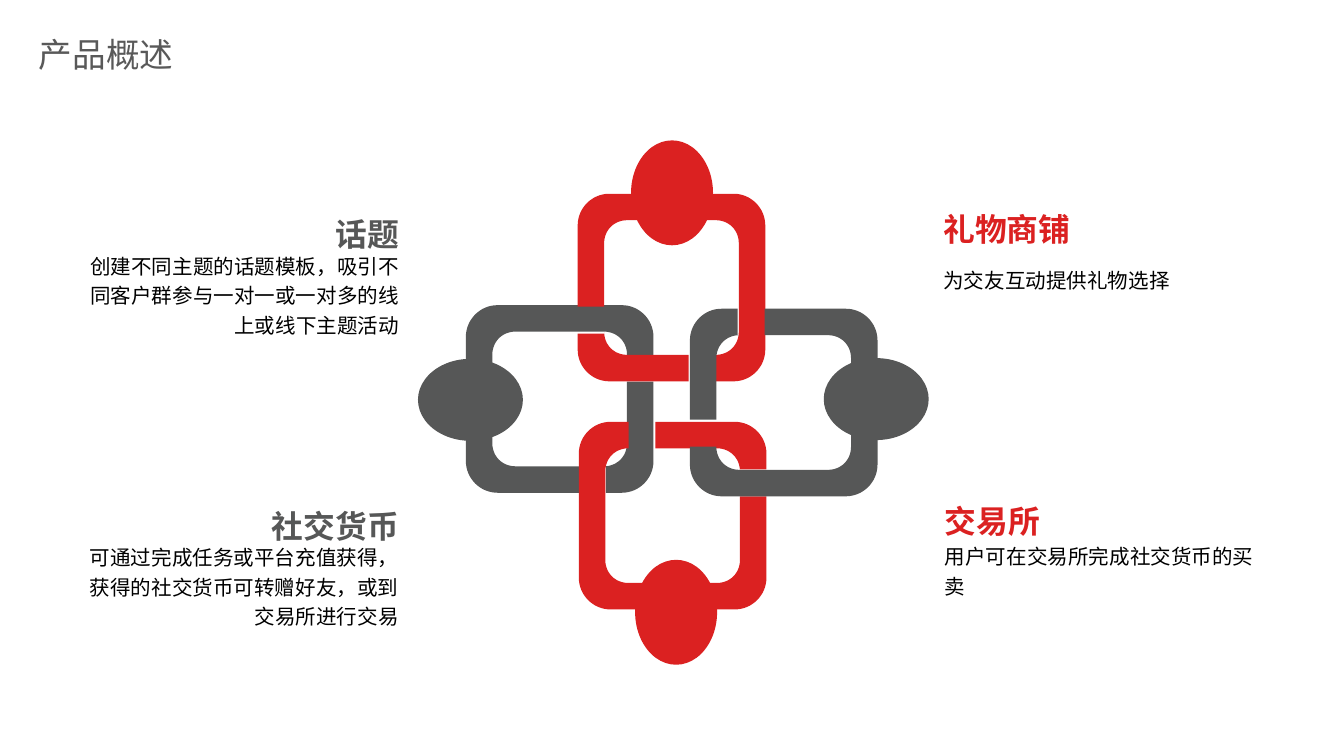
from dataclasses import dataclass
from math import cos, radians, sin

from pptx import Presentation
from pptx.dml.color import RGBColor
from pptx.enum import lang, shapes, text
from pptx.util import Pt


@dataclass(frozen=True)
class Theme:
    red: RGBColor = RGBColor(0xDB, 0x21, 0x21)
    gray: RGBColor = RGBColor(0x56, 0x57, 0x57)
    title: RGBColor = RGBColor(0x59, 0x59, 0x59)
    body: RGBColor = RGBColor(0, 0, 0)
    font: str = "Calibri"
    title_font: str = "Noto Sans CJK SC"
    title_size: int = 18
    heading_size: int = 17
    body_size: int = 11


theme = Theme()
LEFT, RIGHT = text.PP_ALIGN.LEFT, text.PP_ALIGN.RIGHT
TOP, MIDDLE = text.MSO_ANCHOR.TOP, text.MSO_ANCHOR.MIDDLE

deck = Presentation()
deck.slide_width, deck.slide_height = Pt(720), Pt(405)
page = deck.slides.add_slide(deck.slide_layouts[6])


def arc(center_x, center_y, radius, start, end):
    """Points along a circle, angles in degrees, clockwise on the page."""
    steps = 16
    angles = [radians(start + (end - start) * i / steps) for i in range(steps + 1)]
    return [(center_x + radius * cos(a), center_y + radius * sin(a)) for a in angles]


def add_text(left, top, width, height, words, size, color, align=LEFT,
             anchor=MIDDLE, font=theme.font, wrap=True, bold=False, spacing=1.0):
    box = page.shapes.add_textbox(Pt(left), Pt(top), Pt(width), Pt(height))
    frame = box.text_frame
    frame.margin_left = frame.margin_right = frame.margin_top = frame.margin_bottom = 0
    frame.word_wrap = wrap
    frame.vertical_anchor = anchor
    para = frame.paragraphs[0]
    para.alignment = align
    para.line_spacing = spacing
    span = para.add_run()
    span.text = words
    span.font.name = font
    span.font.size = Pt(size)
    span.font.bold = bold
    span.font.color.rgb = color
    span.font.language_id = lang.MSO_LANGUAGE_ID.SIMPLIFIED_CHINESE


# One chain link: a square ring cut on its right and bottom sides
side, band = 100.5, 14.2
outer, inner = 17, 12
near, far = outer, side - outer
inner_near, inner_far = band + inner, side - band - inner
right_cut = (26.6, 41)
bottom_cut = (60.5, 75)

corner_piece = [
    (side, right_cut[1]),
    *arc(far, far, outer, 0, 90),
    (bottom_cut[1], side), (bottom_cut[1], side - band),
    *arc(inner_far, inner_far, inner, 90, 0),
    (side - band, right_cut[1]),
]
main_piece = [
    (side, right_cut[0]),
    *arc(far, near, outer, 0, -90),
    *arc(near, near, outer, -90, -180),
    *arc(near, far, outer, -180, -270),
    (bottom_cut[0], side), (bottom_cut[0], side - band),
    *arc(inner_near, inner_far, inner, -270, -180),
    *arc(inner_near, inner_near, inner, -180, -90),
    *arc(inner_far, inner_near, inner, -90, 0),
    (side - band, right_cut[0]),
]

# Link left and top, quarter turns, colour, knob centre
links = [
    (249.6, 163.5, 0, theme.gray, (252, 214.2)),
    (309.5, 103.8, 1, theme.red, (360, 103.3)),
    (310.1, 226, 3, theme.red, (362.2, 328)),
    (369.6, 165.4, 2, theme.gray, (469.4, 213.8)),
]
for left, top, turns, color, (knob_x, knob_y) in links:
    contours = [corner_piece, main_piece]
    for _ in range(turns):
        contours = [[(side - y, x) for x, y in piece] for piece in contours]
    corner, main = [[(Pt(x), Pt(y)) for x, y in piece] for piece in contours]
    builder = page.shapes.build_freeform(*corner[0])
    builder.add_line_segments(corner[1:], close=True)
    builder.move_to(*main[0])
    builder.add_line_segments(main[1:], close=True)
    link = builder.convert_to_shape(Pt(left), Pt(top))

    width, height = (56.2, 43.9) if turns % 2 == 0 else (43.9, 56.2)
    knob = page.shapes.add_shape(
        shapes.MSO_SHAPE.OVAL, Pt(knob_x - width / 2), Pt(knob_y - height / 2),
        Pt(width), Pt(height))
    for shape in (link, knob):
        shape.shadow.inherit = False
        shape.fill.solid()
        shape.fill.fore_color.rgb = color
        shape.line.fill.background()

# Body left and top, heading left and top, colour, alignment, anchor, wording
topics = [
    (42.3, 133.2, 123.1, 115.2, theme.gray, RIGHT, TOP, "话题",
     "创建不同主题的话题模板，吸引不同客户群参与一对一或一对多的线上或线下主题活动"),
    (42.1, 289.4, 123.1, 271.4, theme.gray, RIGHT, TOP, "社交货币",
     "可通过完成任务或平台充值获得，获得的社交货币可转赠好友，或到交易所进行交易"),
    (505.4, 133.2, 505.4, 113.3, theme.red, LEFT, MIDDLE, "礼物商铺",
     "为交友互动提供礼物选择"),
    (506.2, 289.4, 506.2, 269.8, theme.red, LEFT, MIDDLE, "交易所",
     "用户可在交易所完成社交货币的买卖"),
]
for body_x, body_y, head_x, head_y, color, align, anchor, heading, body in topics:
    add_text(body_x, body_y, 171.6, 31, body, theme.body_size, theme.body,
             align, anchor, spacing=1.2)
    add_text(head_x, head_y, 90.7, 18, heading, theme.heading_size, color,
             align, anchor, wrap=False, bold=True)

add_text(20.9, 13.7, 167.8, 30.2, "产品概述", theme.title_size, theme.title,
         font=theme.title_font)

deck.save("out.pptx")
